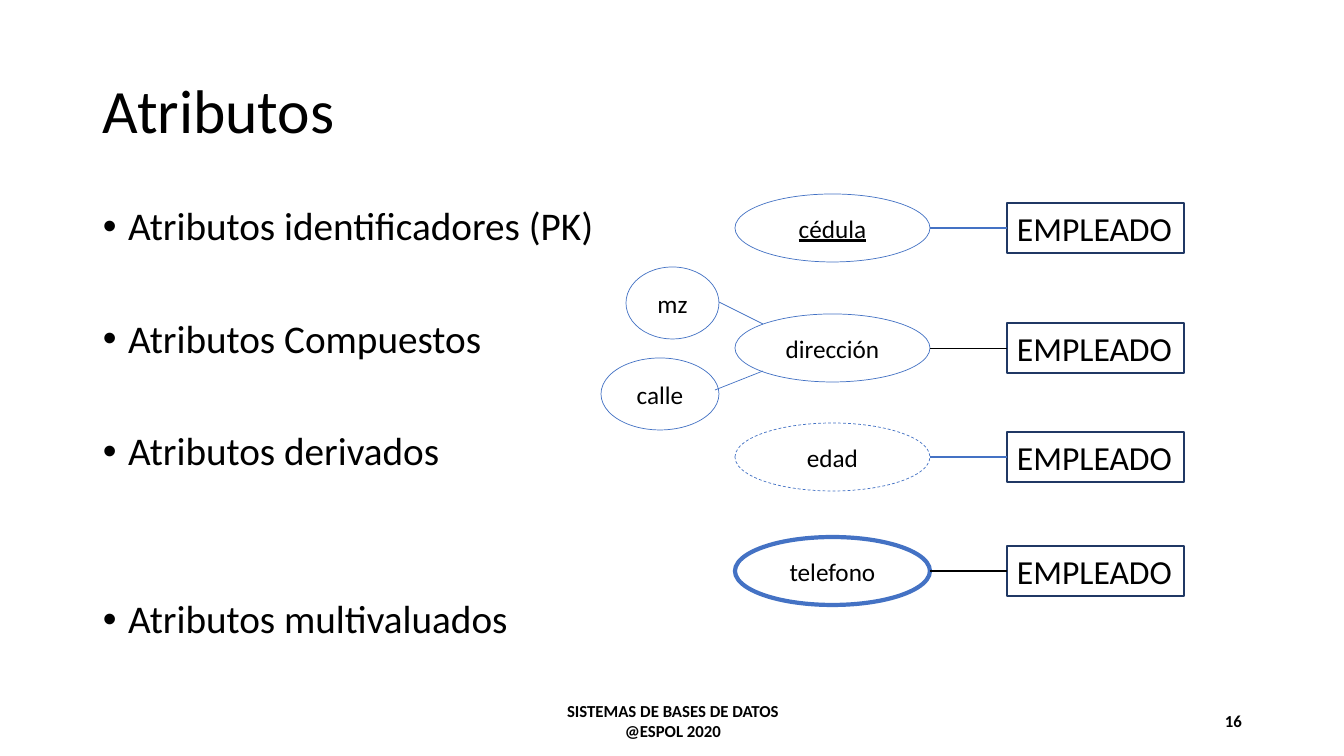
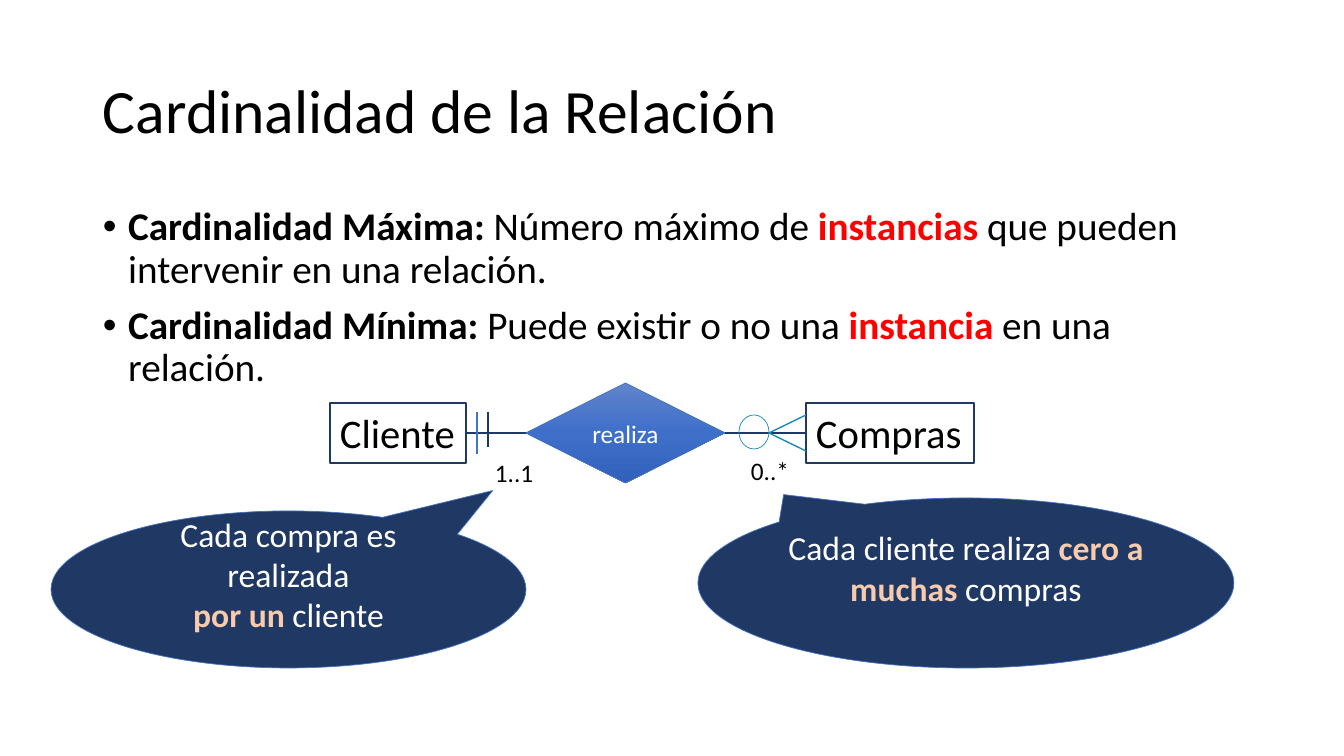
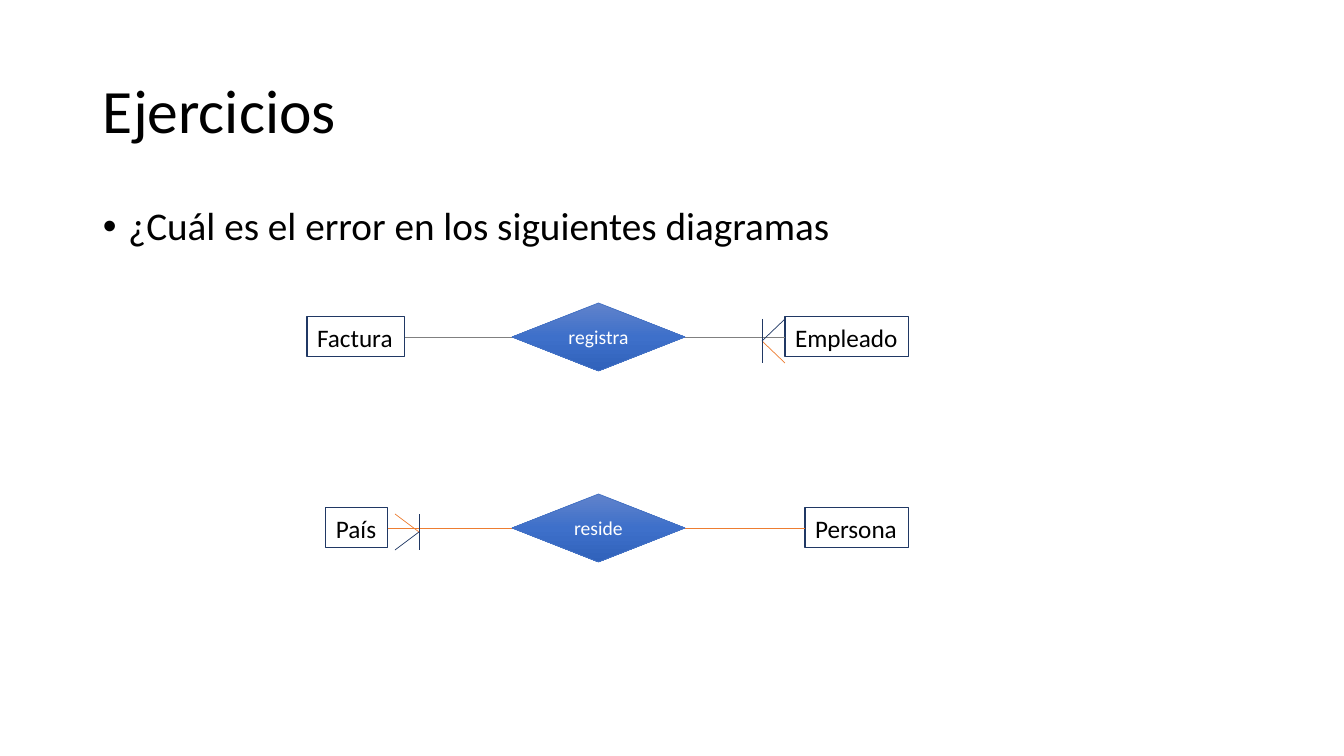
"""Build three slides on entity-relationship diagrams."""
import copy
import lxml.etree
import pptx
import pptx.util
import pptx.dml.color
import pptx.enum.dml
import pptx.enum.shapes
import pptx.enum.text
import pptx.oxml.ns

PX = 914400 / 100.8
FONT = "Calibri"
HUES = {
    "ink": "000000", "white": "FFFFFF", "navy": "203864", "blue": "4472C4",
    "teal": "198BB5", "red": "FF0000", "peach": "F8CBAD", "orange": "ED7D31",
    "gray": "808080", "top": "6183CB", "core": "3E70CA", "base": "3062BB",
}
RGB = {name: pptx.dml.color.RGBColor.from_string(code) for name, code in HUES.items()}
KIND = pptx.enum.shapes.MSO_SHAPE
ALIGN = pptx.enum.text.PP_ALIGN
ANCHOR = pptx.enum.text.MSO_ANCHOR
Pt = pptx.util.Pt
qn = pptx.oxml.ns.qn


def put(slide, kind, box, paras, size, hue="ink", fill=None, edge=None, wide=0.5,
        align=ALIGN.CENTER, anchor=ANCHOR.MIDDLE, wrap=True, bold=None,
        inset=(10, 5, 10, 5), gaps=None, lead=None):
    """Add a shape, or a text box when kind is None; a run with a hue is bold."""
    spot = [round(v * PX) for v in box]
    if kind is None:
        shape = slide.shapes.add_textbox(*spot)
    else:
        shape = slide.shapes.add_shape(kind, *spot)
        shape.shadow.inherit = False
        if fill == "grad":
            shape.fill.gradient()
            shape.fill.gradient_angle = 270
            stops = shape._element.spPr.find(".//" + qn("a:gsLst"))
            stops.insert(1, copy.deepcopy(stops[0]))
            for stop, (pos, tone) in zip(shape.fill.gradient_stops,
                                         ((0, "top"), (0.5, "core"), (1, "base"))):
                stop.position = pos
                stop.color.rgb = RGB[tone]
        elif fill:
            shape.fill.solid()
            shape.fill.fore_color.rgb = RGB[fill]
        else:
            shape.fill.background()
        shape.line.color.rgb = RGB[edge]
        shape.line.width = Pt(wide)
    frame = shape.text_frame
    frame.word_wrap = wrap
    if not wrap:
        frame.auto_size = pptx.enum.text.MSO_AUTO_SIZE.SHAPE_TO_FIT_TEXT
    frame.vertical_anchor = anchor
    (frame.margin_left, frame.margin_top,
     frame.margin_right, frame.margin_bottom) = [round(v * PX) for v in inset]
    for i, runs in enumerate(paras):
        para = frame.paragraphs[0] if i == 0 else frame.add_paragraph()
        if gaps is not None:
            props = para._p.get_or_add_pPr()
            props.set("marL", "228600")
            props.set("indent", "-228600")
            lxml.etree.SubElement(props, qn("a:buFont")).set("typeface", "Arial")
            lxml.etree.SubElement(props, qn("a:buChar")).set("char", "•")
            if i:
                para.space_before = Pt(gaps[i - 1])
        para.alignment = align
        if lead:
            para.line_spacing = lead
        para.font.name = FONT
        para.font.size = Pt(size)
        para.font.bold = bold
        para.font.color.rgb = RGB[hue]
        for text, tone in [(runs, None)] if isinstance(runs, str) else runs:
            run = para.add_run()
            run.text = text
            if tone:
                run.font.bold = True
                run.font.color.rgb = RGB[tone]
    return shape


def link(slide, x1, y1, x2, y2, hue, wide=0.5, start=None, end=None):
    """Draw a line, joined to the right side of start and the left side of end."""
    line = slide.shapes.add_connector(
        pptx.enum.shapes.MSO_CONNECTOR.STRAIGHT, *[round(v * PX) for v in (x1, y1, x2, y2)])
    line.line.color.rgb = RGB[hue]
    line.line.width = Pt(wide)
    lxml.etree.SubElement(line._element.spPr, qn("a:effectLst"))
    if start is not None:
        line.begin_connect(start, 3)
    if end is not None:
        line.end_connect(end, 1)


deck = pptx.Presentation()
deck.slide_width = round(1344 * PX)
deck.slide_height = round(756 * PX)

pages = [
    ("Atributos",
     ["Atributos identificadores (PK)", "Atributos Compuestos",
      "Atributos derivados", "Atributos multivaluados"], [50, 50, 90]),
    ("Cardinalidad de la Relación",
     [[("Cardinalidad Máxima: ", "ink"), ("Número máximo de ", None),
       ("instancias ", "red"), ("que pueden intervenir en una relación.", None)],
      [("Cardinalidad Mínima: ", "ink"), ("Puede existir o no una ", None),
       ("instancia ", "red"), ("en una relación.", None)]], [10]),
    ("Ejercicios", ["¿Cuál es el error en los siguientes diagramas"], []),
]
slides = []
for title, items, gaps in pages:
    slide = deck.slides.add_slide(deck.slide_layouts[6])
    put(slide, None, (93, 41, 1159, 146), [title], 44, align=ALIGN.LEFT, lead=0.9)
    put(slide, None, (93, 202, 1159, 480), items, 28, align=ALIGN.LEFT,
        anchor=ANCHOR.TOP, gaps=gaps, lead=0.9)
    slides.append(slide)
attrs, cards, tasks = slides

put(attrs, None, (446, 701, 454, 40), ["SISTEMAS DE BASES DE DATOS", "@ESPOL 2020"],
    12, bold=True)
put(attrs, None, (950, 701, 302, 40), ["16"], 12, bold=True, align=ALIGN.RIGHT)

box = dict(edge="navy", align=ALIGN.LEFT, anchor=ANCHOR.TOP, wrap=False)
ovals = {}
for name, mid, wide, hue, thick in (
        ("cédula", 228, 0.5, "blue", 1), ("dirección", 348, 0.5, "ink", 0.5),
        ("edad", 457, 0.5, "blue", 1), ("telefono", 571, 3, "ink", 0.75)):
    entity = put(attrs, KIND.RECTANGLE, (1007, mid - 25, 177, 50), ["EMPLEADO"], 24,
                 fill="white", wide=1, **box)
    ovals[name] = put(attrs, KIND.OVAL, (735, mid - 34, 195, 68), [name], 18,
                      edge="blue", wide=wide)
    link(attrs, 930, mid, 1007, mid, hue, thick, end=entity)
ovals["cédula"].text_frame.paragraphs[0].font.underline = True
ovals["edad"].line.dash_style = pptx.enum.dml.MSO_LINE.DASH
for name, left, top, width, ends in (("mz", 626, 267, 93, (719, 302, 763, 324)),
                                     ("calle", 601, 358, 118, (715, 390, 763, 371))):
    put(attrs, KIND.OVAL, (left, top, width, 72), [name], 18, fill="white", edge="blue")
    link(attrs, *ends, "blue")

client, buys = [
    put(cards, KIND.RECTANGLE, (left, 403, width, 60), [name], 29,
        fill="white", wide=1, **box)
    for name, left, width in (("Cliente", 330, 136), ("Compras", 806, 168))]
link(cards, 466, 433, 806, 433, "navy", 1, client, buys)
for ends, hue in (((488, 412, 488, 447), "navy"), ((477, 412, 477, 454), "blue"),
                  ((806, 415, 769, 433), "teal"), ((806, 451, 769, 433), "teal")):
    link(cards, *ends, hue, 1)
for text, left, top in (("1..1", 483, 451), ("0..*", 739, 449)):
    put(cards, None, (left, top, 72, 42), [text], 18, align=ALIGN.LEFT,
        anchor=ANCHOR.TOP, inset=(12, 6, 12, 6))
for spot, tail, lines in (
        ((51, 511, 475, 157), (0.43, -0.63),
         ["Cada compra es realizada", [("por un ", "peach"), ("cliente", None)]]),
        ((698, 498, 536, 170), (-0.34, -0.52),
         [[("Cada cliente realiza ", None), ("cero a muchas ", "peach"),
           ("compras", None)]])):
    bubble = put(cards, KIND.OVAL_CALLOUT, spot, lines, 24, "white", "navy", "blue",
                 inset=(12, 6, 12, 37))
    bubble.adjustments[0], bubble.adjustments[1] = tail
put(cards, KIND.OVAL, (739, 415, 30, 34), [], 18, edge="teal")
put(cards, KIND.DIAMOND, (526, 383, 199, 100), ["realiza"], 18, "white", "grad", "blue")

for first, x1, w1, verb, last, x2, w2, mid, hue, tip, root, hub, rise in (
        ("Factura", 307, 98, "registra", "Empleado", 785, 124, 337, "gray",
         762, 785, 341, -22),
        ("País", 326, 62, "reside", "Persona", 805, 104, 528, "orange",
         419, 395, 532, 18)):
    start, end = [
        put(tasks, KIND.RECTANGLE, (left, mid - 20, width, 40), [name], 18,
            wide=0.75, **box)
        for name, left, width in ((first, x1, w1), (last, x2, w2))]
    link(tasks, x1 + w1, mid, x2, mid, hue, 0.5, start, end)
    link(tasks, root, hub + rise, tip, hub, "navy")
    link(tasks, root, hub - rise, tip, hub, "orange")
    link(tasks, tip, hub + rise, tip, hub - rise, "navy")
    put(tasks, KIND.DIAMOND, (512, mid - 34, 173, 68), [verb], 14, "white", "grad", "blue")

deck.save("out.pptx")
